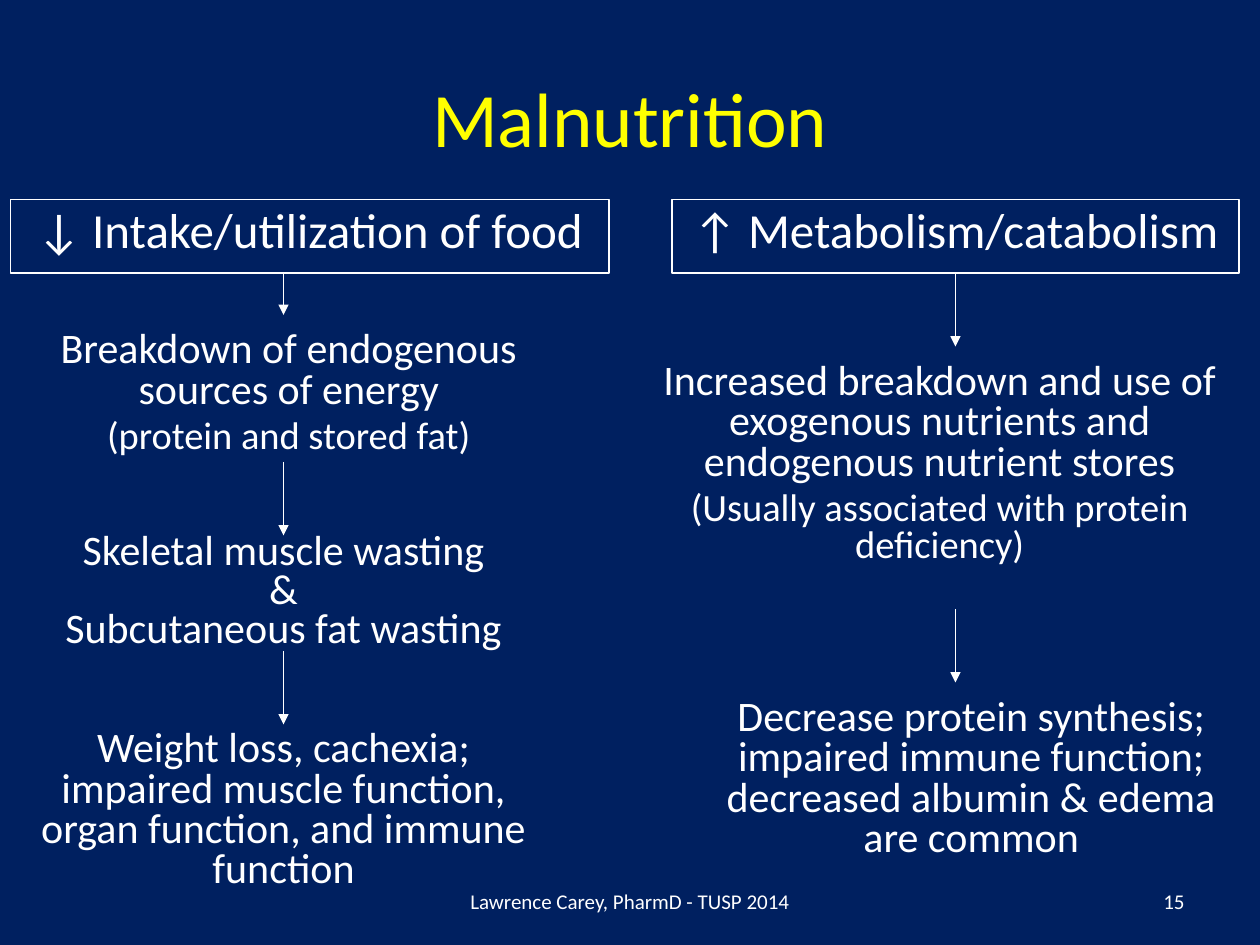
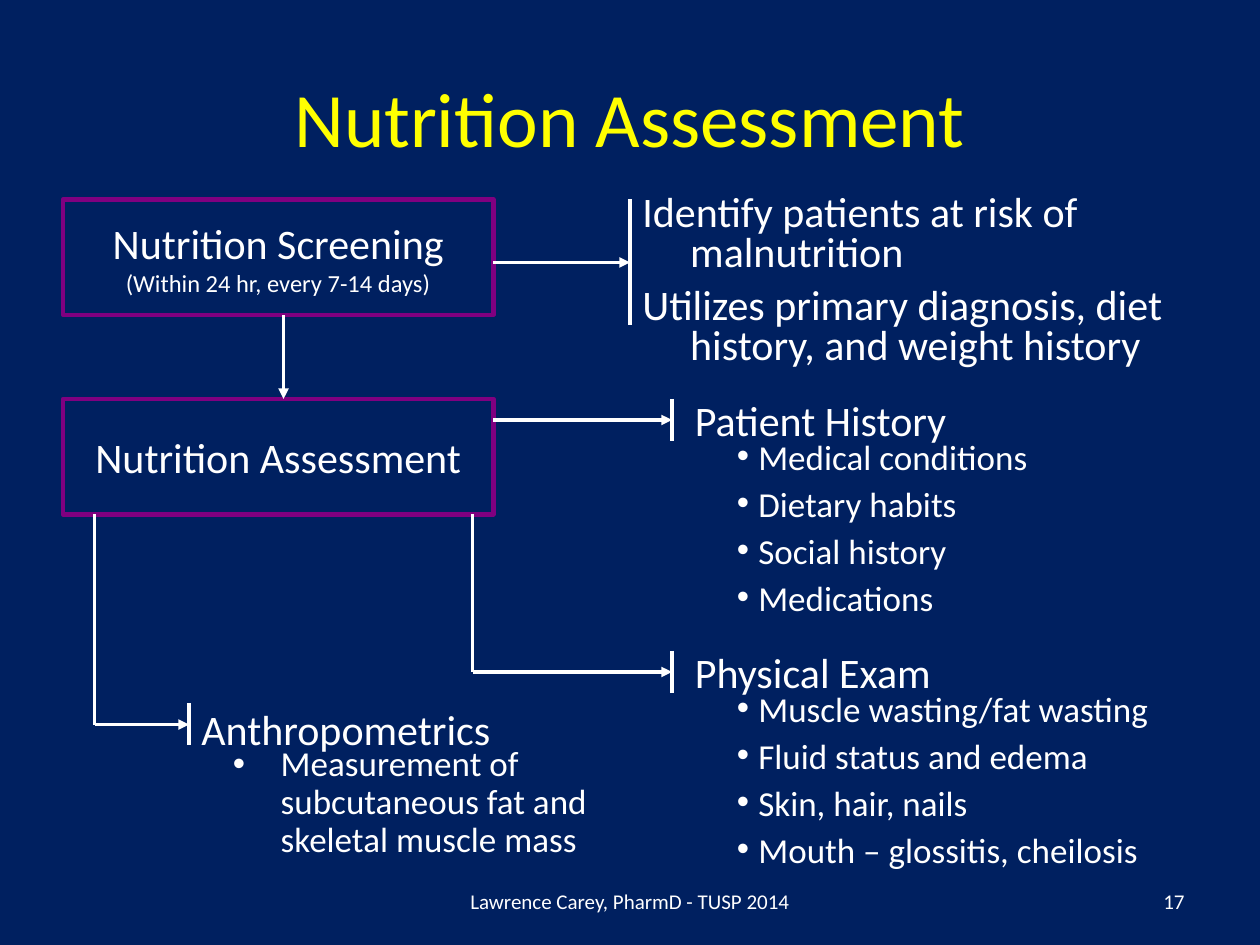
from dataclasses import dataclass
from lxml import etree
from pptx import Presentation
from pptx.dml.color import RGBColor
from pptx.enum.shapes import MSO_CONNECTOR, MSO_SHAPE
from pptx.enum.text import MSO_ANCHOR, PP_ALIGN
from pptx.oxml.ns import qn
from pptx.util import Inches, Pt

LEFT, MID, RIGHT = PP_ALIGN.LEFT, PP_ALIGN.CENTER, PP_ALIGN.RIGHT
TOP, CENTER = MSO_ANCHOR.TOP, MSO_ANCHOR.MIDDLE
RECT, LINE = MSO_SHAPE.RECTANGLE, MSO_CONNECTOR.STRAIGHT


@dataclass(frozen=True)
class Theme:
    font: str = "Calibri"
    back: str = "002060"
    text: str = "FFFFFF"
    title: str = "FFFF00"
    frame: str = "800080"
    huge: int = 44
    head: int = 28
    main: int = 24
    side: int = 22
    item: int = 20
    note: int = 14
    foot: int = 12
    thin: float = 0.75
    thick: float = 2
    edge: float = 2.5


T = Theme()

# All places are in cells of a 120 x 90 grid: left, top, width, height.
CELL = 1 / 12
COLS, ROWS = 120, 90
HANG = 0.38
FOOTER = "Lawrence Carey, PharmD - TUSP 2014"

CAUSES = [
    ("↓ Intake/utilization of food", (1, 19, 57, 7)),
    ("↑ Metabolism/catabolism", (64, 19, 54, 7)),
]
# Each effect: place, line spacing, paragraphs as (text, size)
EFFECTS = [
    ((0, 31, 55, 14), 0.8, [
        ("Breakdown of endogenous sources of energy", T.main),
        ("(protein and stored fat)", T.side)]),
    ((0, 51, 54, 12), 0.6, [
        ("Skeletal muscle wasting", T.main),
        ("&", T.main),
        ("Subcutaneous fat wasting", T.main)]),
    ((1, 69, 52, 17), 0.8, [
        ("Weight loss, cachexia; impaired muscle function, "
         "organ function, and immune function", T.main)]),
    ((62, 34, 55, 21), 0.8, [
        ("Increased breakdown and use of exogenous nutrients "
         "and endogenous nutrient stores", T.main),
        ("(Usually associated with protein deficiency)", T.side)]),
    ((65, 66, 55, 17), 0.8, [
        ("Decrease protein synthesis; impaired immune function; "
         "decreased albumin & edema are common", T.main)]),
]
# Column of the arrows, then their start and end rows
FLOWS = [(27, [(26, 30), (44, 51), (62, 69)]),
         (91, [(26, 33), (58, 65)])]

STEPS = [
    (19, [("Nutrition Screening", T.main),
          ("(Within 24 hr, every 7-14 days)", T.note)]),
    (38, [("Nutrition Assessment", T.main)]),
]
STEP_X, STEP_W, STEP_H = 6, 41, 11
AIMS = [("Identify patients at risk of malnutrition", T.main),
        ("Utilizes primary diagnosis, diet history, and weight history",
         T.main)]
# Each branch: corner points of its path, length of the bar at its end
BRANCHES = [
    ([(47, 25), (60, 25)], 12),
    ([(47, 40), (64, 40)], 4),
    ([(45, 49), (45, 64), (64, 64)], 4),
    ([(9, 49), (9, 69), (18, 69)], 4),
]
# Each part: heading, its place, list place, hang, line spacing, items
PARTS = [
    ("Patient History", (65, 37, 44, 6), (69, 42, 43, 18.5), 0.17, 0.7,
     ["Medical conditions", "Dietary habits", "Social history",
      "Medications"]),
    ("Physical Exam", (65, 61, 44, 6), (69, 66, 51, 18.5), 0.17, 0.7,
     ["Muscle wasting/fat wasting", "Fluid status and edema",
      "Skin, hair, nails", "Mouth – glossitis, cheilosis"]),
    ("Anthropometrics", (18, 66.4, 42, 6), (21, 70.5, 43, 12), HANG, 0.9,
     ["Measurement of subcutaneous fat and skeletal muscle mass"]),
]


def cells(*nums):
    return [Inches(n * CELL) for n in nums]


def color(code):
    return RGBColor.from_string(code)


def indent(para, hang, mark):
    """Hang the first line of a paragraph, with a bullet if mark is set."""
    props = para._p.get_or_add_pPr()
    props.set("marL", str(Inches(hang)))
    props.set("indent", str(-Inches(hang)))
    if mark:
        etree.SubElement(props, qn("a:buFont")).set("typeface", "Arial")
        etree.SubElement(props, qn("a:buChar")).set("char", "•")


def write(shape, paras, align=LEFT, anchor=TOP, tint=T.text, space=None,
          gap=0, hang=0, mark=False, wrap=True):
    """Fill a shape with (text, size) paragraphs; gap is a share of size."""
    frame = shape.text_frame
    frame.word_wrap, frame.vertical_anchor = wrap, anchor
    for i, (text, size) in enumerate(paras):
        para = frame.add_paragraph() if i else frame.paragraphs[0]
        if hang:
            indent(para, hang, mark)
        para.alignment = align
        if space:
            para.line_spacing = space
        if i and gap:
            para.space_before = Pt(size * gap)
        run = para.add_run()
        run.text = text
        run.font.name, run.font.size = T.font, Pt(size)
        run.font.color.rgb = color(tint)


def label(slide, place, paras, **style):
    write(slide.shapes.add_textbox(*cells(*place)), paras, **style)


def box(slide, place, tint, width):
    shape = slide.shapes.add_shape(RECT, *cells(*place))
    shape.shadow.inherit = False
    shape.fill.background()
    shape.line.color.rgb, shape.line.width = color(tint), Pt(width)
    return shape


def line(slide, start, end, width, arrow=False):
    link = slide.shapes.add_connector(LINE, *cells(*start, *end))
    link.line.color.rgb, link.line.width = color(T.text), Pt(width)
    if arrow:
        tail = etree.SubElement(link.line._get_or_add_ln(), qn("a:tailEnd"))
        tail.set("type", "triangle")
    etree.SubElement(link._element.spPr, qn("a:effectLst"))


def start(deck, title, page):
    """Add a slide with the shared background, title and footer."""
    slide = deck.slides.add_slide(deck.slide_layouts[6])
    slide.background.fill.solid()
    slide.background.fill.fore_color.rgb = color(T.back)
    label(slide, (6, 3.6, 108, 15), [(title, T.huge)], align=MID,
          anchor=CENTER, tint=T.title)
    label(slide, (41, 83.4, 38, 4.8), [(FOOTER, T.foot)], align=MID,
          anchor=CENTER)
    label(slide, (86, 83.4, 28, 4.8), [(page, T.foot)], align=RIGHT,
          anchor=CENTER)
    return slide


def causes(deck):
    slide = start(deck, "Malnutrition", "15")
    for text, place in CAUSES:
        shape = box(slide, place, T.text, T.thin)
        shape.text_frame.margin_top = Inches(0.09)
        write(shape, [(text, T.head)], align=MID, space=0.8)
    for place, space, paras in EFFECTS:
        label(slide, place, paras, align=MID, space=space, gap=0.2)
    for x, spans in FLOWS:
        for top, end in spans:
            line(slide, (x, top), (x, end), T.thin, arrow=True)


def steps(deck):
    slide = start(deck, "Nutrition Assessment", "17")
    for top, paras in STEPS:
        shape = box(slide, (STEP_X, top, STEP_W, STEP_H), T.frame, T.edge)
        write(shape, paras, align=MID, anchor=CENTER, wrap=False)
    line(slide, (27, STEPS[0][0] + STEP_H), (27, STEPS[1][0]), T.thick,
         arrow=True)
    for path, bar in BRANCHES:
        for a, b in zip(path, path[1:]):
            line(slide, a, b, T.thick, arrow=b == path[-1])
        x, y = path[-1]
        line(slide, (x, y - bar / 2), (x, y + bar / 2), T.thick)
    label(slide, (60, 18, 60, 18), AIMS, space=0.8, gap=0.3, hang=HANG)
    for head, spot, place, hang, space, items in PARTS:
        label(slide, spot, [(head, T.main)])
        label(slide, place, [(text, T.item) for text in items],
              space=space, gap=0.5, hang=hang, mark=True)


def main():
    deck = Presentation()
    deck.slide_width, deck.slide_height = cells(COLS, ROWS)
    causes(deck)
    steps(deck)
    deck.save("out.pptx")


if __name__ == "__main__":
    main()
